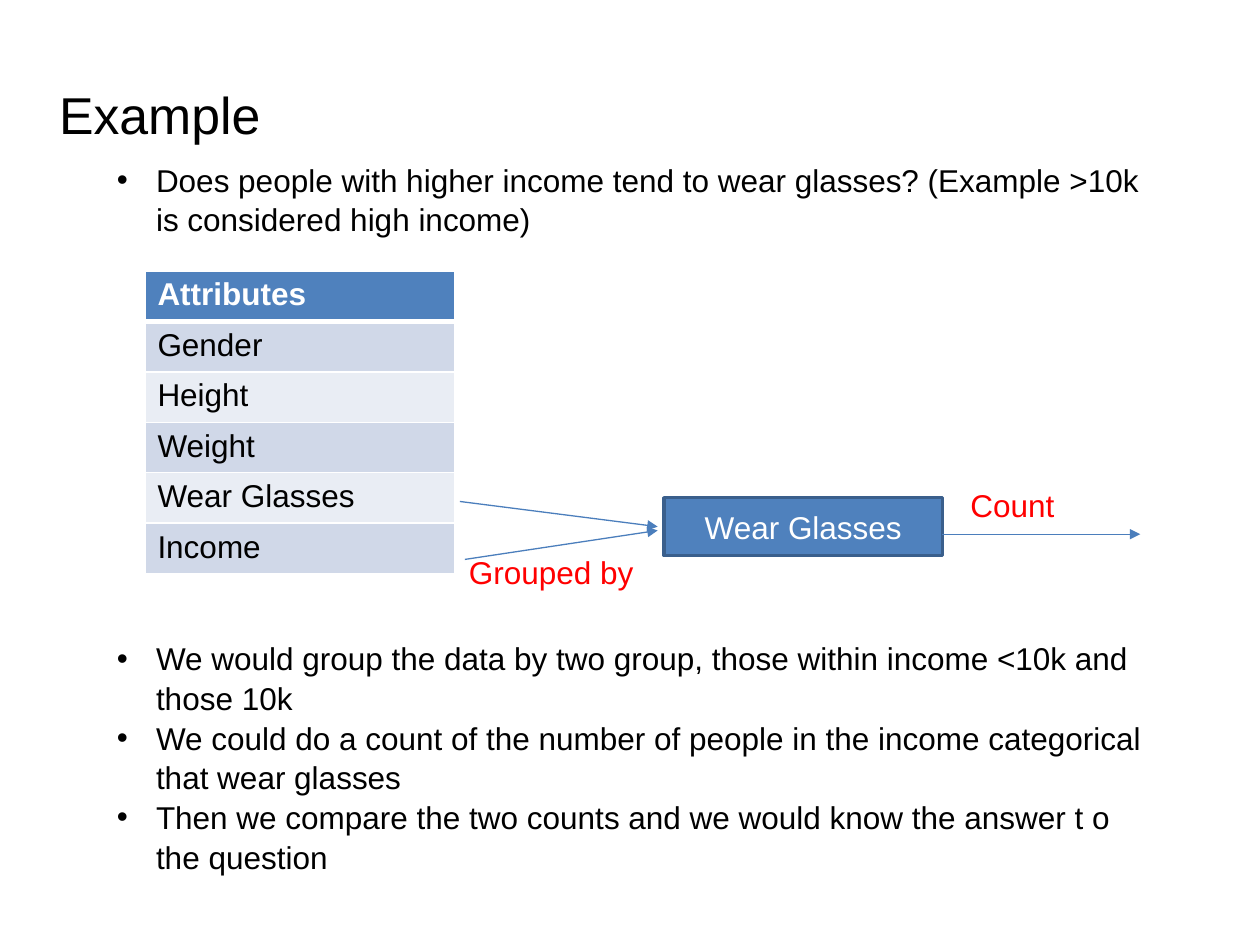
from lxml import etree
from pptx import Presentation
from pptx.dml.color import RGBColor
from pptx.enum.shapes import MSO_CONNECTOR, MSO_SHAPE
from pptx.enum.text import MSO_ANCHOR, PP_ALIGN
from pptx.oxml.ns import qn
from pptx.util import Inches, Pt

BLACK = RGBColor(0x00, 0x00, 0x00)
WHITE = RGBColor(0xFF, 0xFF, 0xFF)
RED = RGBColor(0xFF, 0x00, 0x00)
BLUE = RGBColor(0x4F, 0x81, 0xBD)
OUTLINE = RGBColor(0x3A, 0x5F, 0x8C)
ARROW = RGBColor(0x4B, 0x7E, 0xBC)
BANDS = (RGBColor(0xD0, 0xD8, 0xE8), RGBColor(0xE9, 0xED, 0xF4))
STRAIGHT = MSO_CONNECTOR.STRAIGHT
RECTANGLE = MSO_SHAPE.RECTANGLE
MIDDLE = MSO_ANCHOR.MIDDLE
CENTER = PP_ALIGN.CENTER

ATTRIBUTES = ["Attributes", "Gender", "Height", "Weight", "Wear Glasses", "Income"]
QUESTION = [
    "Does people with higher income tend to wear glasses? (Example >10k is considered high income)"
]
STEPS = [
    "We would group the data by two group, those within income <10k and those 10k",
    "We could do a count of the number of people in the income categorical that wear glasses",
    "Then we compare the two counts and we would know the answer t o the question",
]
ARROWS = [
    ((3.65, 3.98), (5.22, 4.18)),
    ((3.69, 4.44), (5.22, 4.21)),
    ((7.48, 4.24), (9.05, 4.24)),
]


def to_inches(values):
    return [Inches(value) for value in values]


def write(paragraph, text, color, size=18, bold=False):
    run = paragraph.add_run()
    run.text = text
    formats = {"name": "Arial", "size": Pt(size), "bold": bold}
    for name, value in formats.items():
        setattr(run.font, name, value)
    run.font.color.rgb = color


def add_text_frame(slide, box):
    frame = slide.shapes.add_textbox(*to_inches(box)).text_frame
    frame.word_wrap = True
    return frame


def add_title(slide, box, text):
    frame = add_text_frame(slide, box)
    frame.margin_top = Inches(0.09)
    write(frame.paragraphs[0], text, BLACK, size=29.6)


def add_bullets(slide, box, lines):
    frame = add_text_frame(slide, box)
    for index, line in enumerate(lines):
        paragraph = frame.add_paragraph() if index else frame.paragraphs[0]
        paragraph.line_spacing = 1.05
        write(paragraph, line, BLACK)
        properties = paragraph._p.get_or_add_pPr()
        properties.set("marL", str(Inches(0.31)))
        properties.set("indent", str(-Inches(0.31)))
        etree.SubElement(properties, qn("a:buFont"), typeface="Arial")
        etree.SubElement(properties, qn("a:buChar"), char="•")


def set_cell_borders(cell, bottom_width):
    properties = cell._tc.get_or_add_tcPr()
    widths = {"lnL": 1, "lnR": 1, "lnT": 1, "lnB": bottom_width}
    for position, (side, width) in enumerate(widths.items()):
        border = etree.Element(qn(f"a:{side}"), w=str(Pt(width)))
        fill = etree.SubElement(border, qn("a:solidFill"))
        etree.SubElement(fill, qn("a:srgbClr"), val=str(WHITE))
        properties.insert(position, border)


def add_attribute_table(slide, box, names):
    table = slide.shapes.add_table(len(names), 1, *to_inches(box)).table
    for index, name in enumerate(names):
        header = index == 0
        cell = table.cell(index, 0)
        cell.fill.solid()
        cell.fill.fore_color.rgb = BLUE if header else BANDS[(index - 1) % 2]
        write(cell.text_frame.paragraphs[0], name, WHITE if header else BLACK, bold=header)
        set_cell_borders(cell, 3 if header else 1)


def center_text(frame, text, color):
    frame.vertical_anchor = MIDDLE
    paragraph = frame.paragraphs[0]
    paragraph.alignment = CENTER
    write(paragraph, text, color)


def add_result_box(slide, box, text):
    shape = slide.shapes.add_shape(RECTANGLE, *to_inches(box))
    shape.shadow.inherit = False
    shape.fill.solid()
    shape.fill.fore_color.rgb = BLUE
    shape.line.color.rgb = OUTLINE
    shape.line.width = Pt(2)
    center_text(shape.text_frame, text, WHITE)


def add_label(slide, box, text):
    center_text(add_text_frame(slide, box), text, RED)


def add_arrow(slide, start, end):
    connector = slide.shapes.add_connector(STRAIGHT, *to_inches(start + end))
    connector.line.color.rgb = ARROW
    connector.line.width = Pt(0.75)
    etree.SubElement(connector.line._get_or_add_ln(), qn("a:tailEnd"), type="triangle")
    etree.SubElement(connector._element.spPr, qn("a:effectLst"))


def add_diagram(slide, box):
    left, top, width, height = box
    add_attribute_table(slide, (left, top, 2.46, height), ATTRIBUTES)
    add_result_box(slide, (left + 4.12, top + 1.8, 2.21, 0.46), "Wear Glasses")
    add_label(slide, (left + 2.12, top + 2.16, 2.21, 0.46), "Grouped by")
    add_label(slide, (left + width - 2.12, top + 1.63, 2.21, 0.46), "Count")
    for points in ARROWS:
        start, end = [(x - 1.15 + left, y - 2.15 + top) for x, y in points]
        add_arrow(slide, start, end)


def main():
    presentation = Presentation()
    presentation.slide_width = Inches(10)
    presentation.slide_height = Inches(7.5)
    slide = presentation.slides.add_slide(presentation.slide_layouts[6])
    add_title(slide, (0.37, 0.57, 9.29, 0.5), "Example")
    add_bullets(slide, (0.83, 1.21, 8.38, 0.71), QUESTION)
    add_diagram(slide, (1.15, 2.15, 7.9, 2.4))
    add_bullets(slide, (0.83, 5.01, 8.38, 1.92), STEPS)
    presentation.save("out.pptx")


if __name__ == "__main__":
    main()
